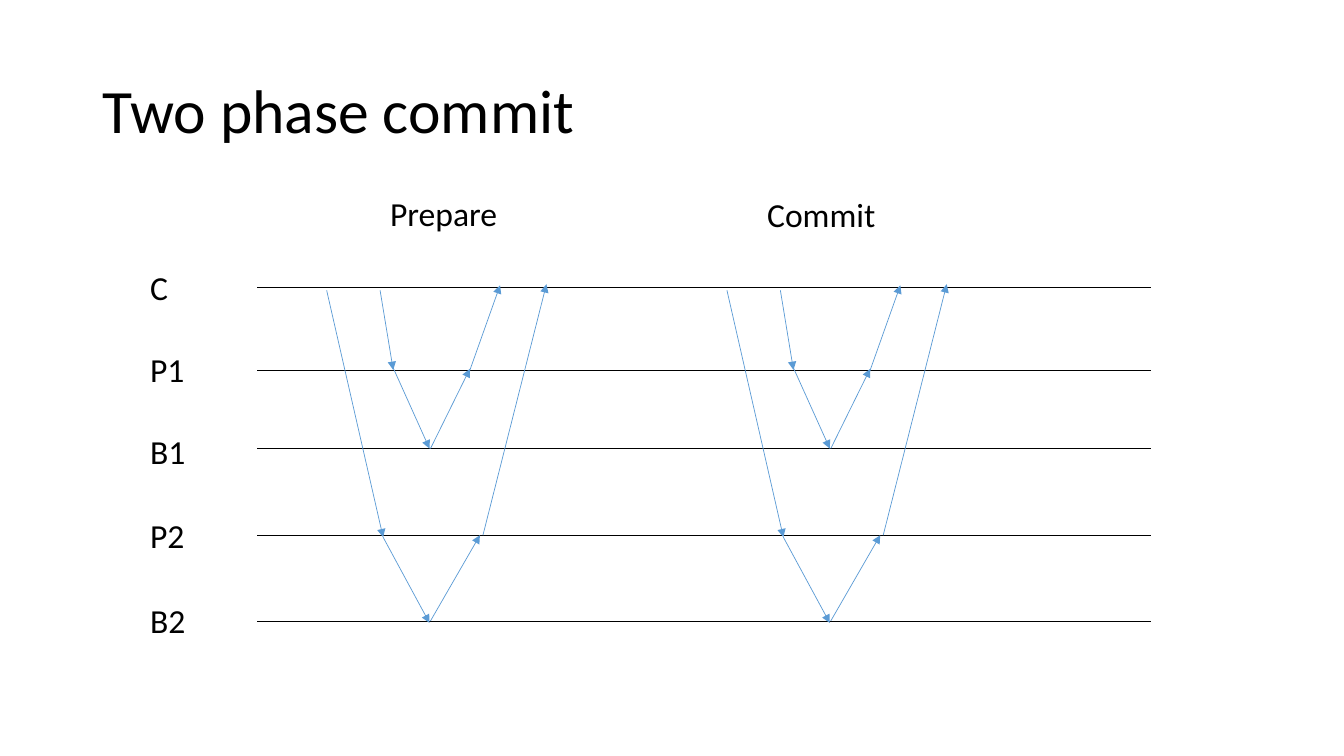
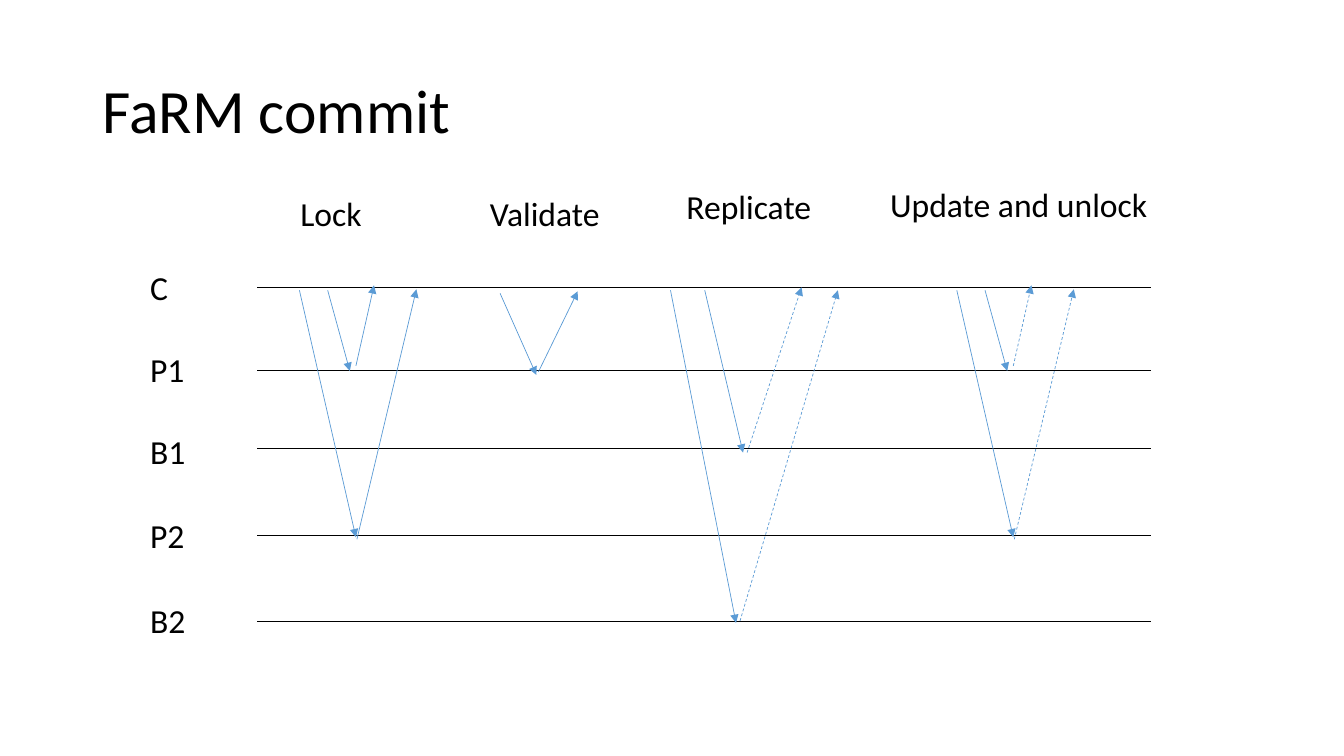
from dataclasses import dataclass
from lxml import etree
from pptx import Presentation, util as u
from pptx.dml.color import RGBColor
from pptx.enum import dml, shapes, text
from pptx.oxml.ns import qn


@dataclass(frozen=True)
class Theme:
    ink: str = "000000"
    blue: str = "5B9BD5"
    font: str = "Calibri"
    head: int = 44
    body: int = 24
    rule: float = 0.5


T = Theme()
WIDE, HIGH = 13.33, 7.5
LEFT, RIGHT = 2.55, 11.42   # ends of every lane
NAME_X, NAME_W = 1.39, 0.95
ROW = 0.5                   # height of a label

# Lane: height of its line, top of its name
LANES = {
    "C": (2.85, 2.6),
    "P1": (3.67, 3.41),
    "B1": (4.45, 4.23),
    "P2": (5.31, 5.06),
    "B2": (6.16, 5.9),
}

# Message: lane, x from phase start, nudge below lane; the same for its end
CHAIN = [
    ("C", 0, 0.03, "P2", 0.56, 0.02),
    ("C", 0.53, 0.03, "P1", 0.66, 0),
    ("P2", 0.56, 0.02, "B2", 1.02, 0.02),
    ("P1", 0.66, -0.02, "B1", 1.02, 0),
    ("B1", 1.03, 0, "P1", 1.42, -0.01),
    ("B2", 1.03, 0, "P2", 1.52, 0),
    ("P2", 1.55, 0, "C", 2.18, -0.03),
    ("P1", 1.4, 0.06, "C", 1.72, -0.02),
]
PRIMARY = [
    ("C", 0, 0.03, "P2", 0.56, 0.02),
    ("C", 0.28, 0.03, "P1", 0.5, 0.01),
    ("P2", 0.57, 0.04, "C", 1.16, 0.02),
    ("P1", 0.56, -0.04, "C", 0.74, -0.02),
]
CHECK = [
    ("C", 0, 0.06, "P1", 0.36, 0.05),
    ("P1", 0.38, 0.02, "C", 0.77, 0.04),
]
BACKUP = [
    ("C", 0, 0.03, "B2", 0.65, 0.02),
    ("C", 0.34, 0.03, "B1", 0.72, 0.04),
    ("B2", 0.69, 0, "C", 1.66, 0.03),
    ("B1", 0.76, 0.04, "C", 1.3, 0),
]

# Phase: name, name x, name top, name width, start x, messages, dashed replies
DECK = [
    ("Two phase commit", [
        ("Prepare", 3.77, 1.86, 2.05, 3.24, CHAIN, False),
        ("Commit", 7.51, 1.87, 2.05, 7.21, CHAIN, False),
    ]),
    ("FaRM commit", [
        ("Lock", 2.88, 1.86, 2.05, 2.97, PRIMARY, False),
        ("Validate", 4.76, 1.86, 2.05, 4.96, CHECK, False),
        ("Replicate", 6.71, 1.8, 2.05, 6.65, BACKUP, True),
        ("Update and unlock", 8.73, 1.78, 2.78, 9.49, PRIMARY, True),
    ]),
]


def write(slide, words, x, y, w, h=ROW, size=T.body, mid=False, space=1.0):
    box = slide.shapes.add_textbox(*map(u.Inches, (x, y, w, h)))
    frame = box.text_frame
    frame.word_wrap = True
    frame.vertical_anchor = text.MSO_ANCHOR.MIDDLE if mid else text.MSO_ANCHOR.TOP
    para = frame.paragraphs[0]
    para.line_spacing = space
    run = para.add_run()
    run.text = words
    run.font.name, run.font.size = T.font, u.Pt(size)
    run.font.color.rgb = RGBColor.from_string(T.ink)


def draw(slide, x1, y1, x2, y2, color=T.ink, arrow=False, dash=False):
    ends = map(u.Inches, (x1, y1, x2, y2))
    link = slide.shapes.add_connector(shapes.MSO_CONNECTOR.STRAIGHT, *ends)
    link.line.color.rgb = RGBColor.from_string(color)
    link.line.width = u.Pt(T.rule)
    if dash:
        link.line.dash_style = dml.MSO_LINE.DASH
    if arrow:
        etree.SubElement(link.line._get_or_add_ln(), qn("a:tailEnd"), type="triangle")
    etree.SubElement(link._element.spPr, qn("a:effectLst"))


def frame(slide, title):
    # Title and lanes, the same on each slide
    write(slide, title, 0.92, 0.4, 11.5, 1.45, size=T.head, mid=True, space=0.9)
    for name, (line, top) in LANES.items():
        write(slide, name, NAME_X, top, NAME_W)
        draw(slide, LEFT, line, RIGHT, line)


def phase(slide, name, x, top, wide, start, sends, dashed):
    write(slide, name, x, top, wide)
    for lane, x1, dip, goal, x2, drop in sends:
        y1, y2 = LANES[lane][0] + dip, LANES[goal][0] + drop
        draw(slide, start + x1, y1, start + x2, y2, color=T.blue,
             arrow=True, dash=dashed and y2 < y1)


def main():
    deck = Presentation()
    deck.slide_width, deck.slide_height = u.Inches(WIDE), u.Inches(HIGH)
    for title, steps in DECK:
        slide = deck.slides.add_slide(deck.slide_layouts[6])
        frame(slide, title)
        for step in steps:
            phase(slide, *step)
    deck.save("out.pptx")


if __name__ == "__main__":
    main()
